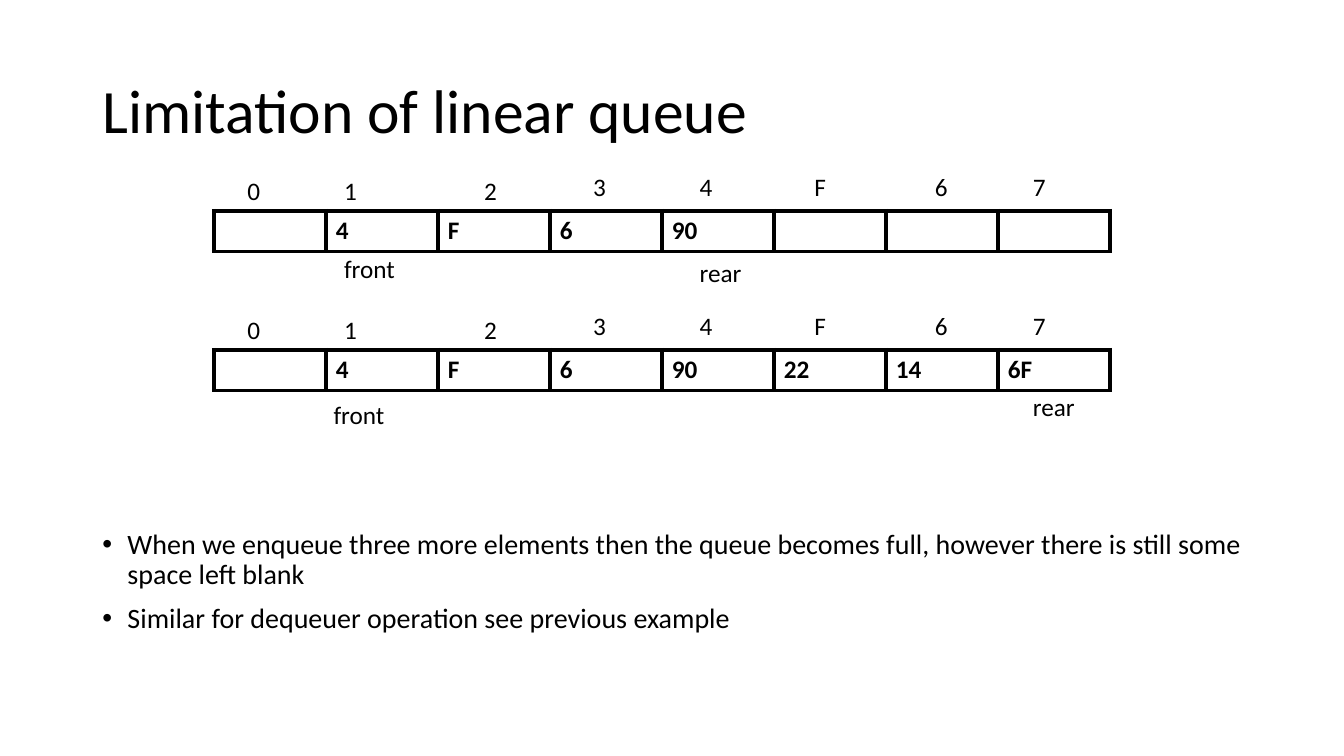
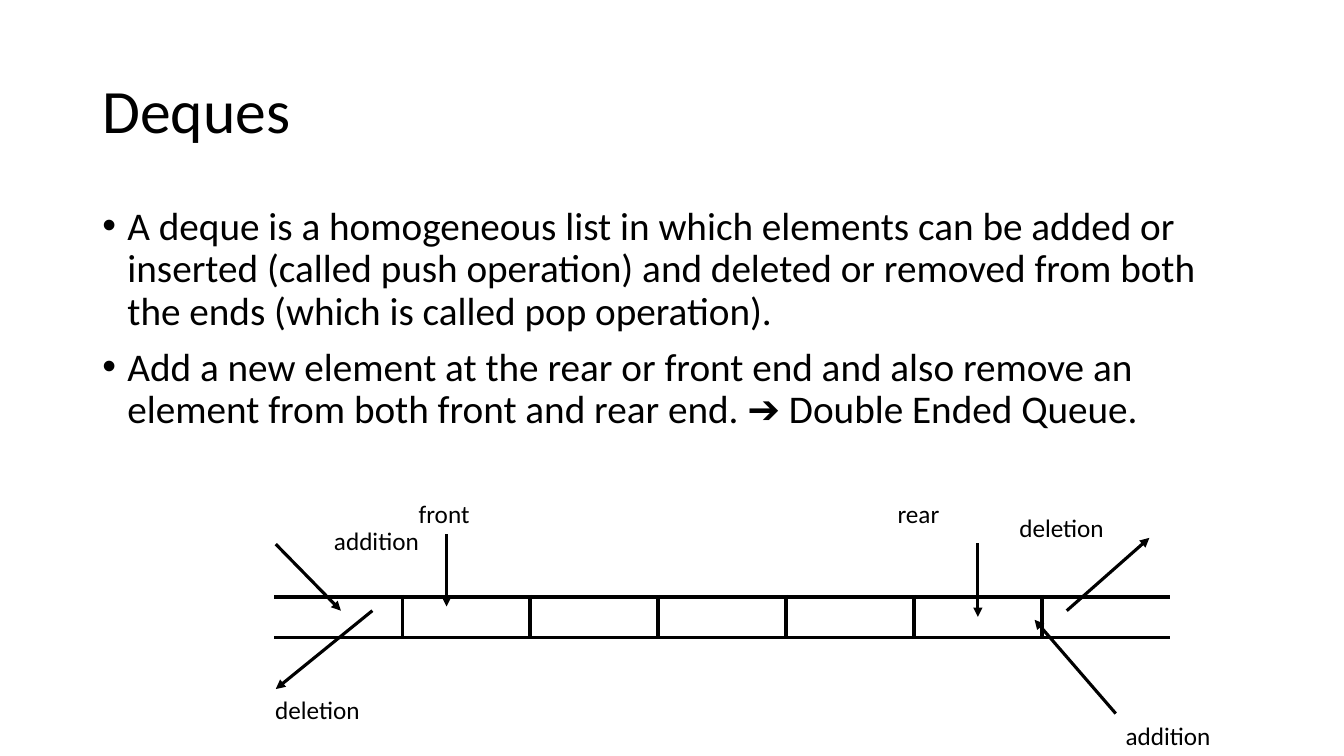
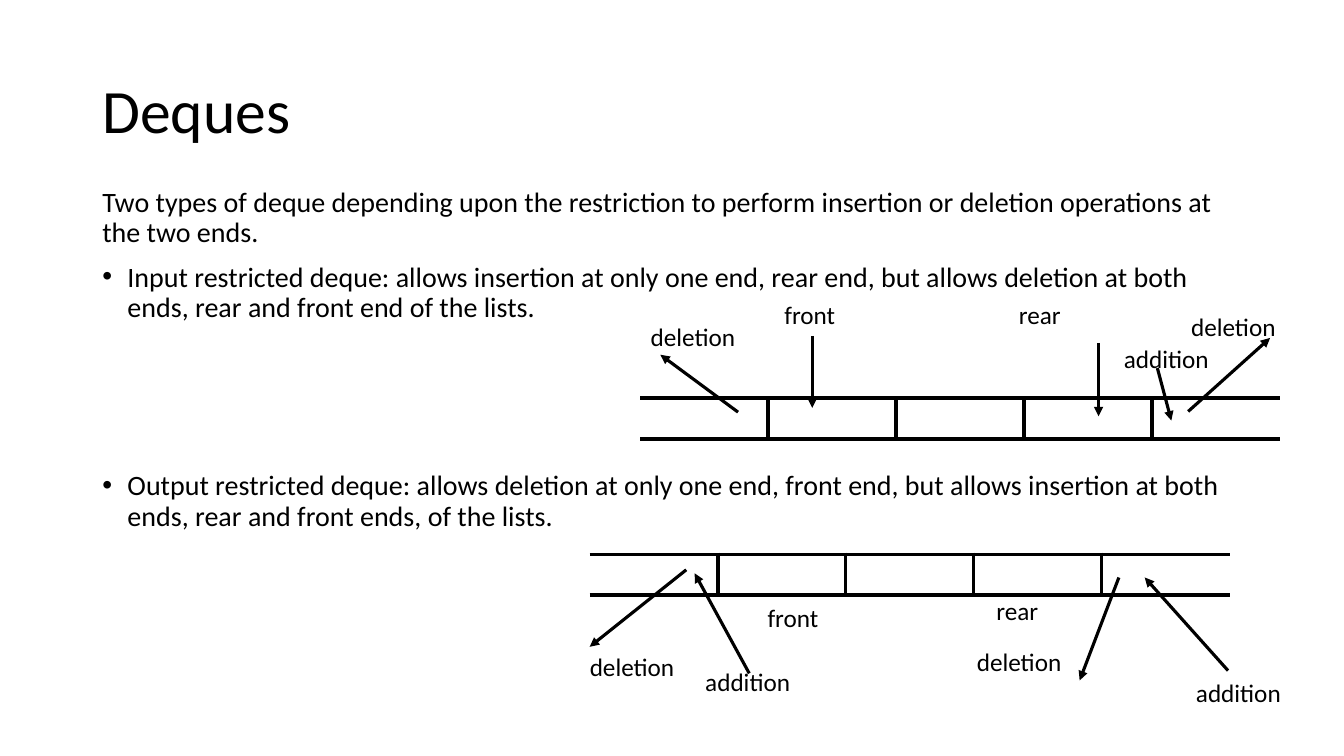
from lxml import etree
from pptx import Presentation
from pptx.dml.color import RGBColor
from pptx.enum.shapes import MSO_CONNECTOR
from pptx.enum.text import MSO_ANCHOR, MSO_AUTO_SIZE
from pptx.oxml.ns import qn
from pptx.util import Pt

BLACK = RGBColor(0x00, 0x00, 0x00)
FONT = "Calibri"
STRAIGHT = MSO_CONNECTOR.STRAIGHT
MIDDLE = MSO_ANCHOR.MIDDLE
GROW = MSO_AUTO_SIZE.SHAPE_TO_FIT_TEXT

MARGIN, CONTENT_W = 66, 828
ROW_H = 29.2
LABEL_H = 29
INDENT = 18
LABEL_W = {"addition": 76.3, "deletion": 75.6, "front": 51, "rear": 44.6}
INDEXES = [("0", 17, -29), ("1", 86, -29), ("2", 186, -29), ("3", 264, -32),
           ("4", 340, -32), ("F", 422, -32), ("6", 508, -32), ("7", 578, -32)]


def sub(parent, tag, **attrs):
    return etree.SubElement(parent, qn(tag), attrs)


def write(p, text, size=18, bold=False, spacing=None, before=None, bullet=False):
    r = p.add_run()
    r.text = text
    r.font.name = FONT
    r.font.size = Pt(size)
    r.font.bold = bold
    r.font.color.rgb = BLACK
    if spacing:
        p.line_spacing = spacing
    if before is not None:
        p.space_before = Pt(before)
    if bullet:
        pPr = p._p.get_or_add_pPr()
        pPr.set("marL", str(Pt(INDENT)))
        pPr.set("indent", str(-Pt(INDENT)))
        sub(pPr, "a:buFont", typeface="Arial")
        sub(pPr, "a:buChar", char="•")


def add_box(s, x, y, w, h, wrap=True):
    tf = s.shapes.add_textbox(Pt(x), Pt(y), Pt(w), Pt(h)).text_frame
    tf.word_wrap = wrap
    return tf


def add_label(s, text, x, y, w, wrap=False):
    tf = add_box(s, x, y, w, LABEL_H, wrap)
    tf.auto_size = GROW
    write(tf.paragraphs[0], text)


def add_title(s, text):
    tf = add_box(s, MARGIN, 28.75, CONTENT_W, 104.4)
    tf.vertical_anchor = MIDDLE
    write(tf.paragraphs[0], text, size=44, spacing=0.9)


def add_body(s, y, h, size, paragraphs):
    tf = add_box(s, MARGIN, y, CONTENT_W, h)
    for i, (text, bullet, before) in enumerate(paragraphs):
        p = tf.add_paragraph() if i else tf.paragraphs[0]
        write(p, text, size=size, spacing=0.9, before=before, bullet=bullet)


def set_borders(cell, open_sides):
    tcPr = cell._tc.get_or_add_tcPr()
    for side in "LRTB":
        ln = sub(tcPr, f"a:ln{side}", w=str(Pt(3)))
        if side in open_sides:
            sub(ln, "a:noFill")
        else:
            sub(sub(ln, "a:solidFill"), "a:srgbClr", val=str(BLACK))


def add_strip(s, x, y, values, cell_w, open_ends=False):
    n = len(values)
    table = s.shapes.add_table(1, n, Pt(x), Pt(y), Pt(n * cell_w), Pt(ROW_H)).table
    table.first_row = table.horz_banding = False
    for i, value in enumerate(values):
        table.columns[i].width = Pt(cell_w)
        cell = table.cell(0, i)
        ends = {0: "L", n - 1: "R"} if open_ends else {}
        set_borders(cell, ends.get(i, ""))
        cell.fill.background()
        if value:
            write(cell.text_frame.paragraphs[0], value, bold=True)


def add_arrow(s, x1, y1, x2, y2):
    c = s.shapes.add_connector(STRAIGHT, Pt(x1), Pt(y1), Pt(x2), Pt(y2))
    c.line.color.rgb = BLACK
    c.line.width = Pt(2.25)
    sub(c.line._get_or_add_ln(), "a:tailEnd", type="triangle")
    sub(c._element.spPr, "a:effectLst")


def add_queue(s, x, y, values, front, rear):
    add_strip(s, x, y, values, 80)
    for text, dx, dy in INDEXES:
        add_label(s, text, x + dx, y + dy, 42, wrap=True)
    for text, (dx, dy) in (("front", front), ("rear", rear)):
        add_label(s, text, x + dx, y + dy, 57.6, wrap=True)


def add_deque(s, x, y, n, arrows, labels):
    add_strip(s, x, y, [""] * n, 91.43, open_ends=True)
    for x1, y1, x2, y2 in arrows:
        add_arrow(s, x + x1, y + y1, x + x2, y + y2)
    for text, dx, dy in labels:
        add_label(s, text, x + dx, y + dy, LABEL_W[text])


def limitation_slide(s):
    add_title(s, "Limitation of linear queue")
    add_body(s, 375, 114.5, 20, [
        ("When we enqueue three more elements then the queue becomes full, "
         "however there is still some space left blank", True, 10),
        ("Similar for dequeuer operation see previous example", True, 10)])
    stored = ["", "4", "F", "6", "90"]
    add_queue(s, 152.7, 150.5, stored + [""] * 3, (86, 26.6), (340, 29.5))
    add_queue(s, 152.7, 249.8, stored + ["22", "14", "6F"], (78.5, 31.7), (578, 26))


def deque_slide(s):
    add_title(s, "Deques")
    add_body(s, 144, 342.7, 28, [
        ("A deque is a homogeneous list in which elements can be added or inserted "
         "(called push operation) and deleted or removed from both the ends "
         "(which is called pop operation).", True, 10),
        ("Add a new element at the rear or front end and also remove an element "
         "from both front and rear end. ➔ Double Ended Queue.", True, 10)])
    add_deque(
        s, 196, 426.2, 7,
        [(1, -37.5, 47.5, 10), (601, 83.5, 543, 16.5), (566, 10, 625, -42),
         (70, 10, 1, 66), (123, -44.5, 123, 7), (502.5, -38, 502.5, 14.5)],
        [("addition", 35.5, -54.5), ("addition", 601, 85), ("deletion", -6.5, 66),
         ("deletion", 525, -64), ("front", 96, -74), ("rear", 438, -73.5)])


def restricted_slide(s):
    add_title(s, "Deques")
    add_body(s, 131, 342.7, 20, [
        ("Two types of deque depending upon the restriction to perform insertion or "
         "deletion operations at the two ends.", False, 10),
        ("Input restricted deque: allows insertion at only one end, rear end, but "
         "allows deletion at both ends, rear and front end of the lists.", True, 10),
        ("Output restricted deque: allows deletion at only one end, front end, but "
         "allows insertion at both ends, rear and front ends, of the lists.", True, 106)])
    add_deque(
        s, 457.2, 284.4, 5,
        [(369.5, -21.5, 379.5, 16), (391.5, 9.5, 450, -43), (70, 10, 14.5, -31),
         (123, -44.5, 123, 7), (327.5, -39.5, 327.5, 13)],
        [("addition", 338.5, -43), ("deletion", 0.5, -58.5), ("deletion", 386.5, -65.5),
         ("front", 96, -74), ("rear", 263.5, -74)])
    add_deque(
        s, 421.2, 396, 5,
        [(456, 83, 396.5, 16.5), (378, 16.5, 350, 90), (69, 11, 0, 66),
         (114, 85, 75, 13.5)],
        [("addition", 426, 84), ("deletion", -7, 66), ("deletion", 269.5, 62),
         ("rear", 283.5, 26), ("addition", 75.5, 76.5), ("front", 120, 31)])


def main():
    prs = Presentation()
    prs.slide_width, prs.slide_height = Pt(960), Pt(540)
    for build in (limitation_slide, deque_slide, restricted_slide):
        build(prs.slides.add_slide(prs.slide_layouts[6]))
    prs.save("out.pptx")


if __name__ == "__main__":
    main()
